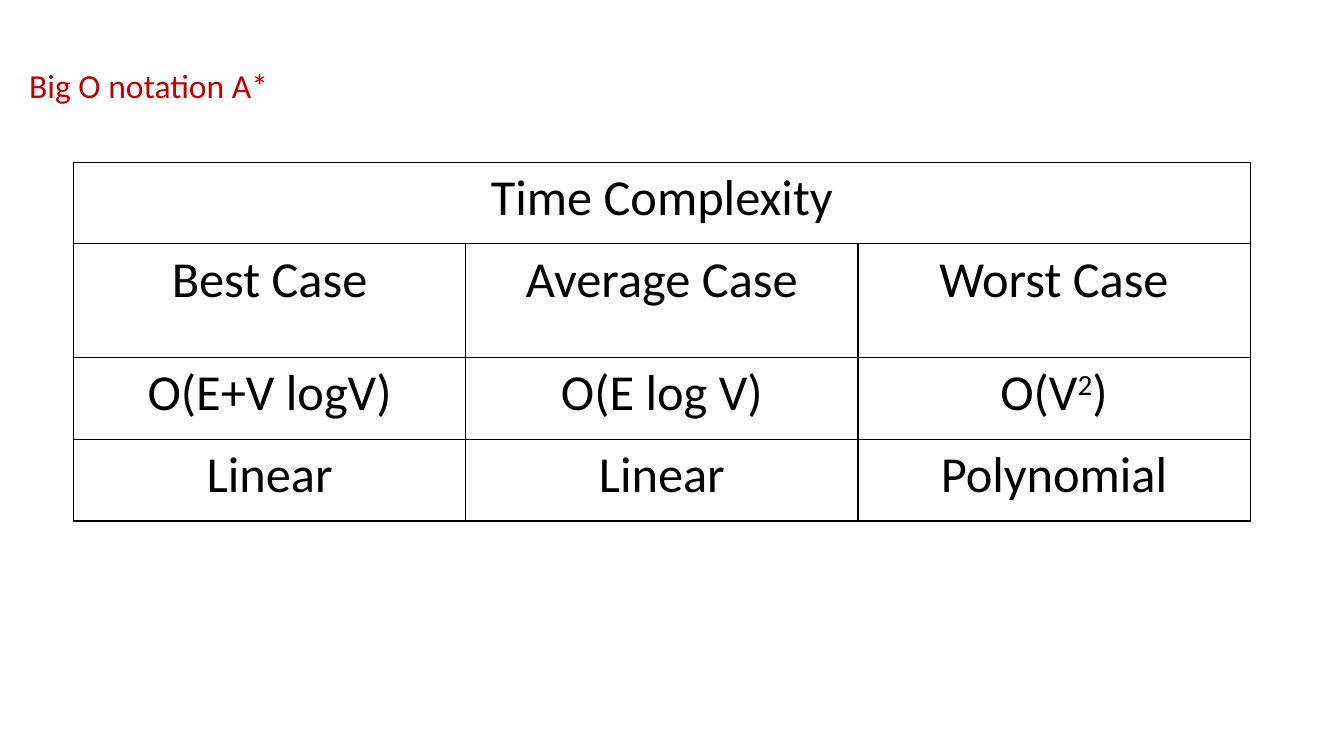
from dataclasses import dataclass

from lxml.etree import SubElement
from pptx import Presentation
from pptx.dml.color import RGBColor
from pptx.enum.shapes import MSO_SHAPE
from pptx.enum.text import MSO_ANCHOR, MSO_AUTO_SIZE, PP_ALIGN
from pptx.oxml.ns import qn
from pptx.util import Pt

PX = 9144  # 100 px to the inch


@dataclass(frozen=True)
class Theme:
    font: str = "Calibri"
    title_size: int = 24
    table_size: int = 36
    title_color: str = "C00000"
    ink: str = "000000"
    paper: str = "FFFFFF"
    title_opacity: int = 70
    border_width: int = 1


class SlideBuilder:
    def __init__(self, presentation, theme):
        self.theme = theme
        self.slide = presentation.slides.add_slide(presentation.slide_layouts[6])

    def style(self, paragraph, size, color, align):
        paragraph.alignment = align
        font = paragraph.font
        font.name, font.size = self.theme.font, Pt(size)
        font.color.rgb = RGBColor.from_string(color)

    def title(self, text, box):
        theme = self.theme
        shape = self.slide.shapes.add_shape(MSO_SHAPE.RECTANGLE, *(n * PX for n in box))
        shape.shadow.inherit = False
        shape.line.fill.background()
        shape.fill.solid()
        shape.fill.fore_color.rgb = RGBColor.from_string(theme.paper)
        color = shape.fill._xPr.find(qn("a:solidFill"))[0]
        SubElement(color, qn("a:alpha"), val=str(theme.title_opacity * 1000))
        frame = shape.text_frame
        frame.word_wrap = True
        frame.auto_size = MSO_AUTO_SIZE.SHAPE_TO_FIT_TEXT
        frame.vertical_anchor = MSO_ANCHOR.TOP
        paragraph = frame.paragraphs[0]
        paragraph.text = text
        paragraph.line_spacing, paragraph.space_after = 1.07, Pt(8)
        self.style(paragraph, theme.title_size, theme.title_color, PP_ALIGN.LEFT)

    def table(self, rows, left, top, column_width, row_heights):
        """Draw a bordered table; a row with a single entry spans all columns."""
        columns = max(map(len, rows))
        table = self.slide.shapes.add_table(
            len(rows), columns, left * PX, top * PX,
            columns * column_width * PX, sum(row_heights) * PX).table
        table.first_row = table.horz_banding = False
        for column in table.columns:
            column.width = column_width * PX
        for row, height in zip(table.rows, row_heights):
            row.height = height * PX
        for cell in table.iter_cells():
            self.border(cell)
            cell.fill.background()
        for r, entries in enumerate(rows):
            if len(entries) == 1:
                table.cell(r, 0).merge(table.cell(r, columns - 1))
            for c, entry in enumerate(entries):
                self.cell_text(table.cell(r, c), entry)

    def cell_text(self, cell, entry):
        """Write the entry, raising whatever stands between ^ marks."""
        paragraph = cell.text_frame.paragraphs[0]
        self.style(paragraph, self.theme.table_size, self.theme.ink, PP_ALIGN.CENTER)
        for index, part in enumerate(entry.split("^")):
            run = paragraph.add_run()
            run.text = part
            if index % 2:
                run._r.get_or_add_rPr().set("baseline", "30000")

    def border(self, cell):
        properties = cell._tc.get_or_add_tcPr()
        for side in ("lnL", "lnR", "lnT", "lnB"):
            line = SubElement(properties, qn(f"a:{side}"), w=str(Pt(self.theme.border_width)))
            fill = SubElement(line, qn("a:solidFill"))
            SubElement(fill, qn("a:srgbClr"), val=self.theme.ink)


def main():
    presentation = Presentation()
    presentation.slide_width, presentation.slide_height = 1333 * PX, 750 * PX
    builder = SlideBuilder(presentation, Theme())
    builder.title("Big O notation A*", (19, 57, 802, 51))
    builder.table(
        [
            ["Time Complexity"],
            ["Best Case", "Average Case", "Worst Case"],
            ["O(E+V logV)", "O(E log V)", "O(V^2^)"],
            ["Linear", "Linear", "Polynomial"],
        ],
        left=73, top=161, column_width=389, row_heights=[81, 113, 81, 81])
    presentation.save("out.pptx")


if __name__ == "__main__":
    main()
